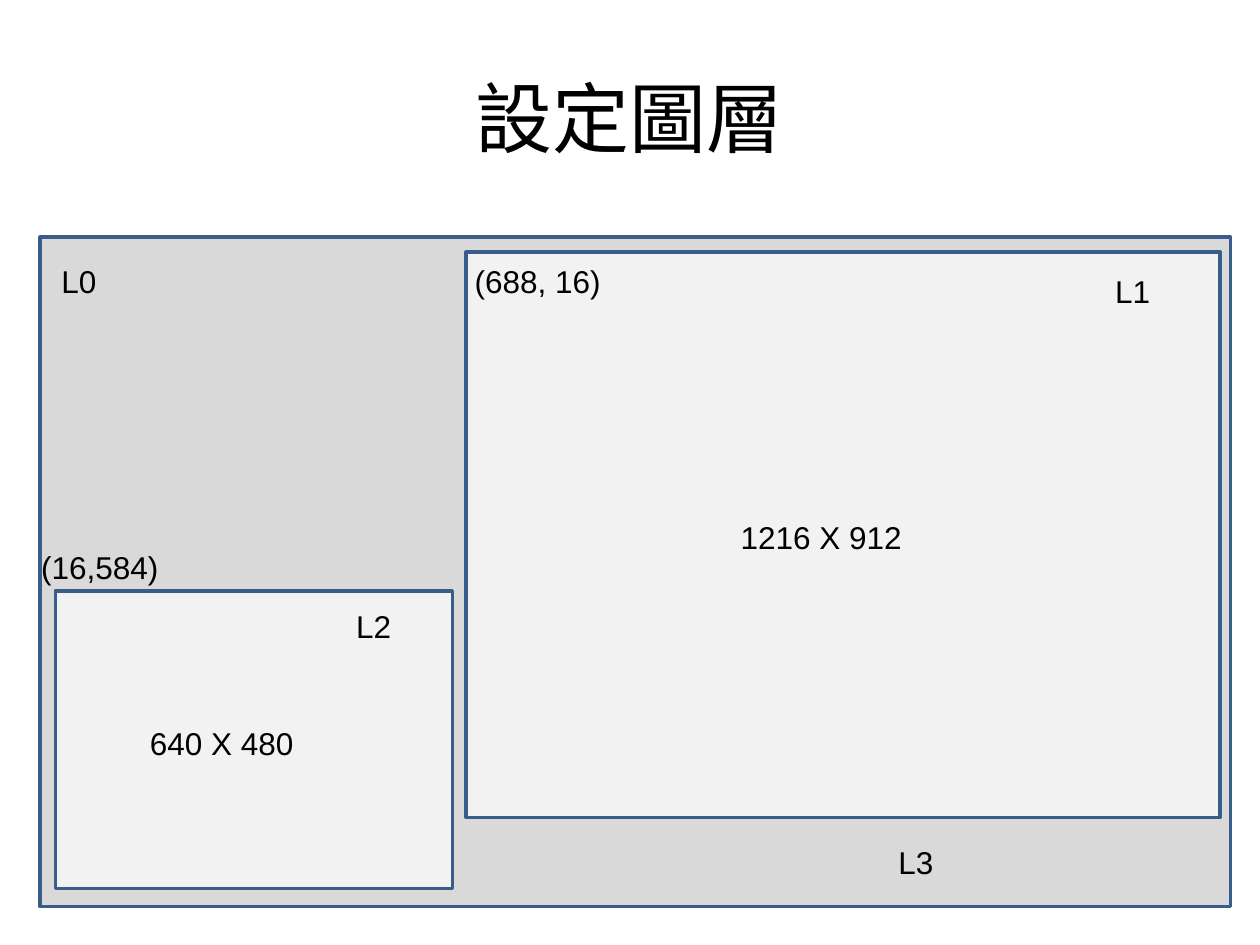
import pptx
import pptx.util
import pptx.dml.color
import pptx.enum.shapes
import pptx.enum.text

Cm = pptx.util.Cm
Pt = pptx.util.Pt
RGBColor = pptx.dml.color.RGBColor

BLACK = RGBColor(0x00, 0x00, 0x00)
FRAME_GREY = RGBColor(0xD9, 0xD9, 0xD9)
LAYER_GREY = RGBColor(0xF2, 0xF2, 0xF2)
BORDER_BLUE = RGBColor(0x38, 0x5D, 0x8A)

CM_PER_PIXEL = 0.0125  # a 1920 x 1080 screen drawn 24 cm wide
WIDE, NARROW = 4.37, 1.98  # label widths


def add_run(p, text, size, font):
    r = p.add_run()
    r.text = text
    r.font.size = Pt(size)
    r.font.name = font
    r.font.color.rgb = BLACK


def add_title(s, text, x, y, w, h):
    sp = s.shapes.title
    sp.left, sp.top, sp.width, sp.height = Cm(x), Cm(y), Cm(w), Cm(h)
    tf = sp.text_frame
    tf.vertical_anchor = pptx.enum.text.MSO_ANCHOR.MIDDLE
    p = tf.paragraphs[0]
    p.alignment = pptx.enum.text.PP_ALIGN.CENTER
    add_run(p, text, 44, "Calibri")


def add_label(s, text, x, y, w):
    sp = s.shapes.add_textbox(Cm(x), Cm(y), Cm(w), Cm(1.02))
    tf = sp.text_frame
    tf.word_wrap = True
    tf.auto_size = pptx.enum.text.MSO_AUTO_SIZE.SHAPE_TO_FIT_TEXT
    add_run(tf.paragraphs[0], text, 18, "Arial")


def add_layer(s, x, y, pixels, fill, labels):
    """Draw a layer of the given pixel size; labels are offset from its corner."""
    w, h = (n * CM_PER_PIXEL for n in pixels)
    sp = s.shapes.add_shape(pptx.enum.shapes.MSO_SHAPE.RECTANGLE,
                            Cm(x), Cm(y), Cm(w), Cm(h))
    sp.shadow.inherit = False
    sp.fill.solid()
    sp.fill.fore_color.rgb = fill
    sp.line.color.rgb = BORDER_BLUE
    sp.line.width = Pt(2)
    for text, dx, dy, width in labels:
        add_label(s, text, x + dx, y + dy, width)


def add_screen(s, x, y):
    # Whole screen
    add_layer(s, x, y, (1920, 1080), FRAME_GREY, [
        ("L0", 0.18, 0.38, WIDE),
        ("L3", 17.05, 12.09, NARROW),
    ])
    # Small layer, bottom left
    add_layer(s, x + 0.31, y + 7.13, (640, 480), LAYER_GREY, [
        ("640 X 480", 1.65, 2.57, WIDE),
        ("(16,584)", -0.54, -0.99, WIDE),
        ("L2", 5.81, 0.21, NARROW),
    ])
    # Large layer, right
    add_layer(s, x + 8.59, y + 0.3, (1216, 912), LAYER_GREY, [
        ("1216 X 912", 5.28, 5.23, WIDE),
        ("(688, 16)", -0.08, 0.08, WIDE),
        ("L1", 12.83, 0.28, NARROW),
    ])


def main():
    prs = pptx.Presentation()
    prs.slide_width, prs.slide_height = Cm(25.4), Cm(19.05)
    s = prs.slides.add_slide(prs.slide_layouts[5])
    add_title(s, "設定圖層", 1.27, 0.76, 22.86, 3.18)
    add_screen(s, 0.81, 4.78)
    prs.save("out.pptx")


if __name__ == "__main__":
    main()
